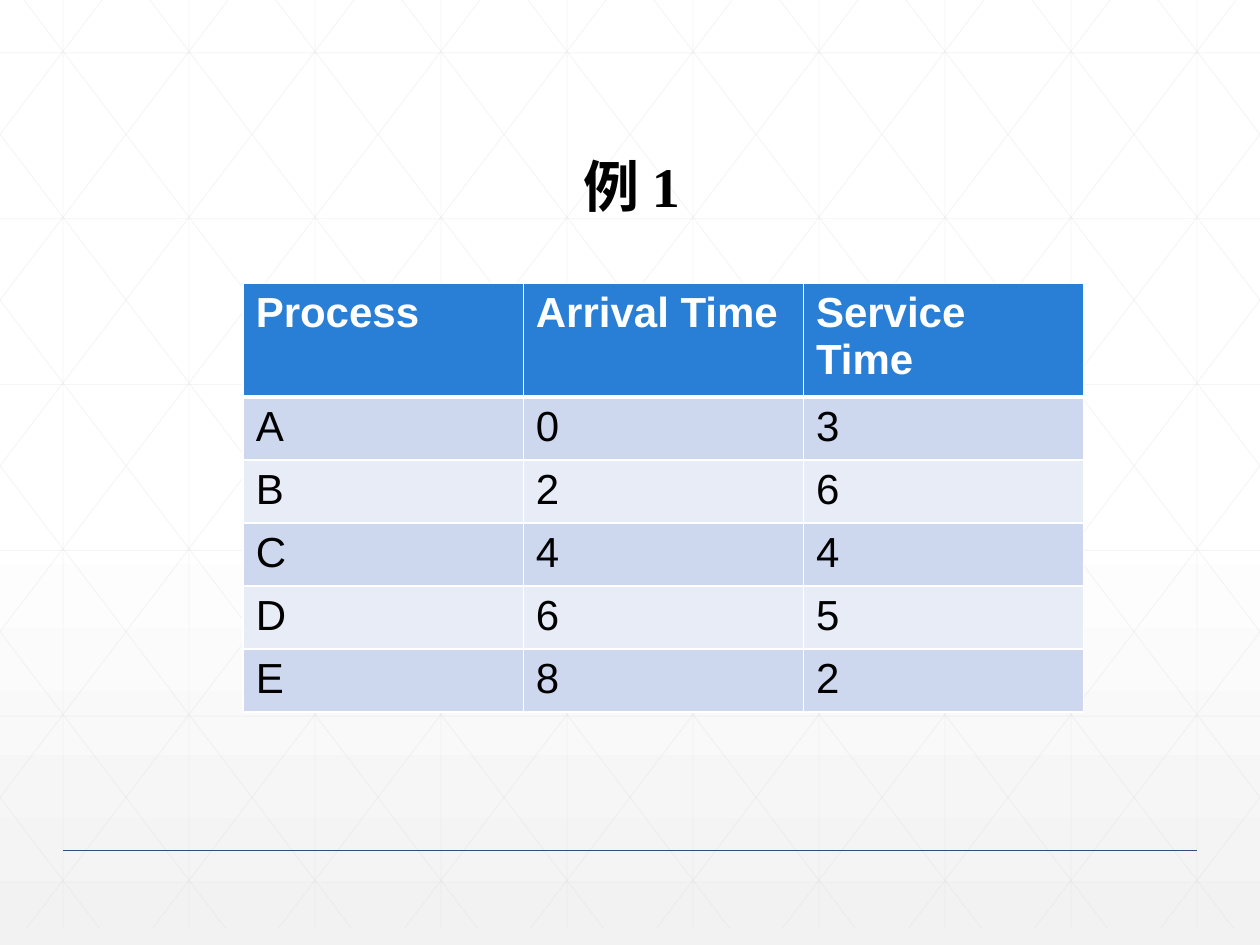
from lxml import etree
from pptx import Presentation
from pptx.dml.color import RGBColor
from pptx.enum.shapes import MSO_CONNECTOR
from pptx.enum.text import MSO_AUTO_SIZE
from pptx.oxml import parse_xml
from pptx.oxml.ns import nsdecls, qn
from pptx.util import Inches, Pt


def rgb(value):
    return RGBColor.from_string(value)


def add_line(shapes, start, end, color, width):
    line = shapes.add_connector(MSO_CONNECTOR.STRAIGHT, *[Inches(v) for v in (*start, *end)])
    line.line.color.rgb = rgb(color)
    line.line.width = Pt(width)
    etree.SubElement(line._element.spPr, qn("a:effectLst"))
    return line


prs = Presentation()
prs.slide_width = Inches(10)
prs.slide_height = Inches(7.5)
slide = prs.slides.add_slide(prs.slide_layouts[6])

backdrop = slide.background.fill
backdrop.gradient()
gradient = slide.background._cSld.find(".//" + qn("a:gradFill"))
for child in list(gradient):
    gradient.remove(child)
stops = "".join(
    f'<a:gs pos="{position * 1000}"><a:srgbClr val="{color}"/></a:gs>'
    for position, color in [(0, "FFFFFF"), (53, "FFFFFF"), (100, "F2F2F2")]
)
gradient.append(parse_xml(f'<a:gsLst {nsdecls("a")}>{stops}</a:gsLst>'))
gradient.append(parse_xml(f'<a:lin {nsdecls("a")} ang="5400000" scaled="0"/>'))

grid_width, grid_height = 10, 7.37
slant = 0.76
grid_lines = [((0.5 + i, 0), (0.5 + i, grid_height)) for i in range(10)]
grid_lines += [((0, 0.42 + 1.316 * i), (grid_width, 0.42 + 1.316 * i)) for i in range(6)]
for i in range(-5, 10):
    top_x = 0.19 + i
    start_x = max(top_x, 0)
    end_x = min(top_x + slant * grid_height, grid_width)
    start_y, end_y = (start_x - top_x) / slant, (end_x - top_x) / slant
    grid_lines.append(((start_x, start_y), (end_x, end_y)))
    grid_lines.append(((grid_width - start_x, start_y), (grid_width - end_x, end_y)))

grid = slide.shapes.add_group_shape()
for start, end in grid_lines:
    grid_line = add_line(grid.shapes, start, end, "D9D9D9", 0.5)
    grid_color = grid_line._element.spPr.find(".//" + qn("a:srgbClr"))
    etree.SubElement(grid_color, qn("a:alpha"), val="25000")

add_line(slide.shapes, (0.5, 6.75), (9.5, 6.75), "384C81", 1)

title = slide.shapes.add_textbox(Inches(4.53), Inches(1.15), Inches(1.09), Inches(0.63))
title.text_frame.word_wrap = False
title.text_frame.auto_size = MSO_AUTO_SIZE.SHAPE_TO_FIT_TEXT
title_run = title.text_frame.paragraphs[0].add_run()
title_run.text = "例 1"
title_run.font.name = "Times New Roman"
title_run.font.size = Pt(32)
title_run.font.bold = True
title_run.font.color.rgb = rgb("000000")

processes = [
    ("Process", "Arrival Time", "Service Time"),
    ("A", "0", "3"),
    ("B", "2", "6"),
    ("C", "4", "4"),
    ("D", "6", "5"),
    ("E", "8", "2"),
]
schedule = slide.shapes.add_table(
    len(processes), 3, Inches(1.93), Inches(2.25), Inches(6.67), Inches(3.4)
).table
for r, process in enumerate(processes):
    header = r == 0
    schedule.rows[r].height = Inches(0.9 if header else 0.5)
    for c, value in enumerate(process):
        cell = schedule.cell(r, c)
        run = cell.text_frame.paragraphs[0].add_run()
        run.text = value
        run.font.name = "Arial"
        run.font.size = Pt(24)
        run.font.bold = header
        run.font.color.rgb = rgb("FFFFFF" if header else "000000")
        properties = cell._tc.get_or_add_tcPr()
        for side in ("L", "R", "T", "B"):
            heavy = (header and side == "B") or (r == 1 and side == "T")
            properties.append(parse_xml(
                f'<a:ln{side} {nsdecls("a")} w="{Pt(3 if heavy else 1)}">'
                '<a:solidFill><a:srgbClr val="FFFFFF"/></a:solidFill>'
                f'</a:ln{side}>'
            ))
        cell.fill.solid()
        cell.fill.fore_color.rgb = rgb("297FD5" if header else ("E8ECF7", "CDD8EF")[r % 2])

prs.save("out.pptx")
